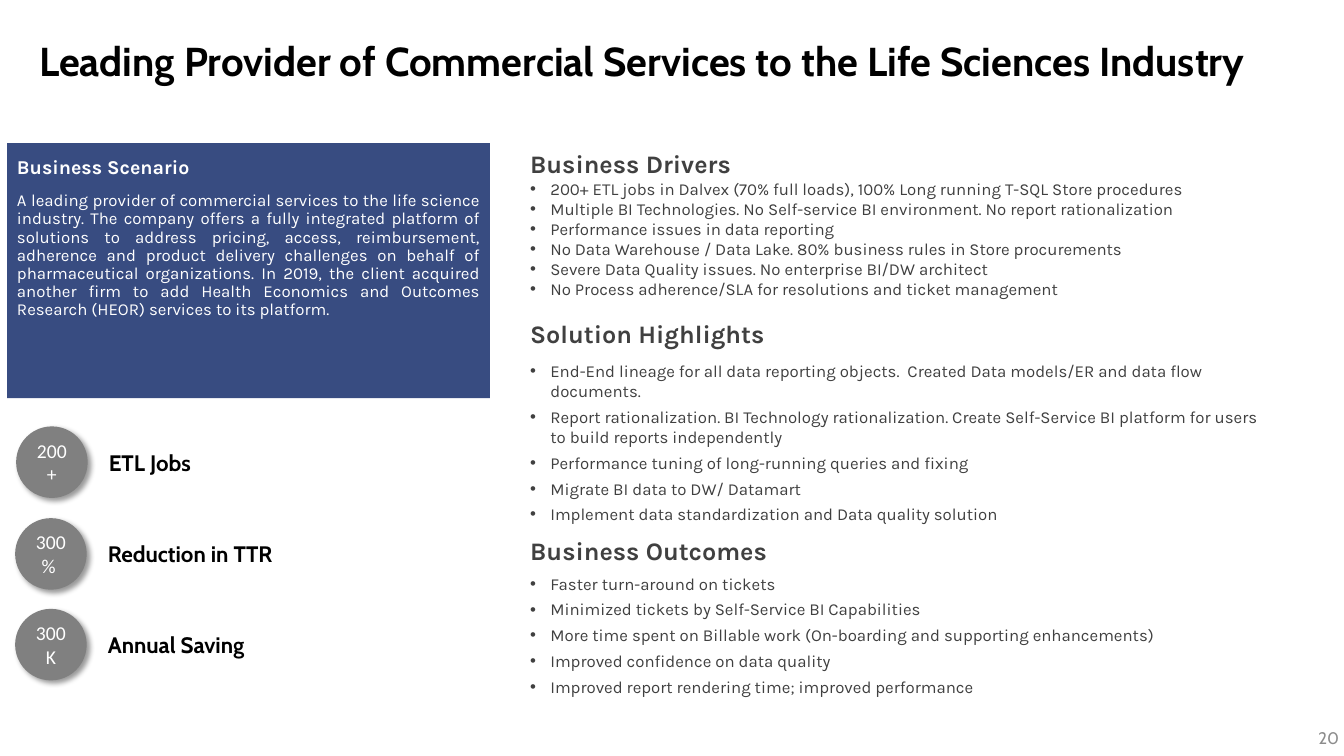
"""Build the life sciences case study slide."""
from lxml import etree
from pptx import Presentation
from pptx.dml.color import RGBColor
from pptx.enum import shapes, text
from pptx.oxml import ns
from pptx.util import Inches, Pt

BLACK = RGBColor(0x00, 0x00, 0x00)
WHITE = RGBColor(0xFF, 0xFF, 0xFF)
NAVY = RGBColor(0x38, 0x4C, 0x81)
DARK = RGBColor(0x40, 0x40, 0x40)
GRAY = RGBColor(0x80, 0x80, 0x80)
PALE = RGBColor(0x8C, 0x8C, 0x8C)

STORY = (
    "A leading provider of commercial services to the life science industry. "
    "The company offers a fully integrated platform of solutions to address "
    "pricing, access, reimbursement, adherence and product delivery challenges "
    "on behalf of pharmaceutical organizations. In 2019, the client acquired "
    "another firm to add Health Economics and Outcomes Research (HEOR) services "
    "to its platform."
)
DRIVERS = [
    "200+ ETL jobs in Dalvex (70% full loads), 100% Long running T-SQL Store procedures",
    "Multiple BI Technologies. No Self-service BI environment. No report rationalization",
    "Performance issues in data reporting",
    "No Data Warehouse / Data Lake. 80% business rules in Store procurements",
    "Severe Data Quality issues. No enterprise BI/DW architect",
    "No Process adherence/SLA for resolutions and ticket management",
]
HIGHLIGHTS = [
    "End-End lineage for all data reporting objects.  Created Data models/ER and data flow documents.",
    "Report rationalization. BI Technology rationalization. Create Self-Service BI platform "
    "for users to build reports independently",
    "Performance tuning of long-running queries and fixing",
    "Migrate BI data to DW/ Datamart",
    "Implement data standardization and Data quality solution",
]
OUTCOMES = [
    "Faster turn-around on tickets",
    "Minimized tickets by Self-Service BI Capabilities",
    "More time spent on Billable work (On-boarding and supporting enhancements)",
    "Improved confidence on data quality",
    "Improved report rendering time; improved performance",
]
STATS = [
    (0.16, 4.23, "200+", "ETL Jobs"),
    (0.15, 5.14, "300% ", "Reduction in TTR"),
    (0.15, 6.04, "300K", "Annual Saving"),
]


def add_box(slide, left, top, width, height, middle=False):
    """Add a wrapping text box and return its frame."""
    box = slide.shapes.add_textbox(Inches(left), Inches(top), Inches(width), Inches(height))
    frame = box.text_frame
    frame.word_wrap = True
    if middle:
        frame.vertical_anchor = text.MSO_ANCHOR.MIDDLE
    return frame


def add_line(frame, words, size, font, color, bold=False, align=None):
    """Add one paragraph holding one run, filling the empty first one."""
    para = frame.paragraphs[0]
    if para.runs:
        para = frame.add_paragraph()
    para.alignment = align
    run = para.add_run()
    run.text = words
    run.font.size = Pt(size)
    run.font.name = font
    run.font.bold = bold
    run.font.color.rgb = color
    return para


def add_head(frame, words):
    """Add a section heading."""
    add_line(frame, words, 18, "Karla", DARK, True)


def add_list(frame, items, after=0):
    """Add bulleted paragraphs."""
    for item in items:
        para = add_line(frame, item, 12, "Karla", DARK)
        props = para._p.get_or_add_pPr()
        props.set("marL", str(Inches(0.2)))
        props.set("indent", str(-Inches(0.2)))
        etree.SubElement(props, ns.qn("a:buFont"), typeface="Arial")
        etree.SubElement(props, ns.qn("a:buChar"), char="•")
        para.space_after = Pt(after)


def add_shade(shape):
    """Give a shape a soft shadow to the lower right."""
    shape.shadow.inherit = False
    effects = shape._element.spPr.find(ns.qn("a:effectLst"))
    shade = etree.SubElement(
        effects, ns.qn("a:outerShdw"), blurRad=str(Pt(4)), dist=str(Pt(3)),
        dir="2700000", algn="tl", rotWithShape="0")
    color = etree.SubElement(shade, ns.qn("a:srgbClr"), val=str(BLACK))
    etree.SubElement(color, ns.qn("a:alpha"), val="40000")


def add_panel(slide):
    """Add the business scenario panel."""
    panel = slide.shapes.add_shape(
        shapes.MSO_SHAPE.RECTANGLE, Inches(0.07), Inches(1.42), Inches(4.79), Inches(2.53))
    panel.shadow.inherit = False
    panel.fill.solid()
    panel.fill.fore_color.rgb = NAVY
    panel.line.fill.background()
    frame = add_box(slide, 0.07, 1.51, 4.79, 2.24)
    side = text.PP_ALIGN.JUSTIFY
    head = add_line(frame, "Business Scenario", 14, "Karla", WHITE, True, side)
    head.line_spacing = 0.9
    body = add_line(frame, STORY, 12, "Karla", WHITE, align=side)
    body.line_spacing = 0.9
    body.space_before = Pt(10)


def add_stat(slide, left, top, value, label):
    """Add a round badge with its label."""
    badge = slide.shapes.add_shape(
        shapes.MSO_SHAPE.ROUNDED_RECTANGLE,
        Inches(left), Inches(top), Inches(0.71), Inches(0.71))
    badge.adjustments[0] = 0.5
    badge.fill.solid()
    badge.fill.fore_color.rgb = GRAY
    badge.line.fill.background()
    add_shade(badge)
    frame = badge.text_frame
    frame.word_wrap = True
    frame.vertical_anchor = text.MSO_ANCHOR.MIDDLE
    add_line(frame, value, 14, "Calibri", WHITE, align=text.PP_ALIGN.CENTER)
    frame = add_box(slide, left + 0.92, top + 0.17, 4.04, 0.37, True)
    frame.margin_left = frame.margin_right = 0
    add_line(frame, label, 16, "Cabin", BLACK, True)


def main():
    """Build and save the slide."""
    deck = Presentation()
    deck.slide_width = Inches(13.33)
    deck.slide_height = Inches(7.5)
    slide = deck.slides.add_slide(deck.slide_layouts[6])

    title = add_line(
        add_box(slide, 0.29, 0.25, 12.89, 0.76, True),
        "Leading Provider of Commercial Services to the Life Sciences Industry",
        28.8, "Cabin", BLACK, True)
    title.line_spacing = 0.9
    add_panel(slide)
    for stat in STATS:
        add_stat(slide, *stat)

    frame = add_box(slide, 5.16, 1.42, 7.46, 1.64)
    add_head(frame, "Business Drivers")
    add_list(frame, DRIVERS)
    add_head(add_box(slide, 5.16, 3.11, 6.68, 0.4), "Solution Highlights")
    add_list(add_box(slide, 5.16, 3.53, 7.59, 1.74), HIGHLIGHTS, 4)
    add_head(add_box(slide, 5.16, 5.26, 6.68, 0.4), "Business Outcomes")
    add_list(add_box(slide, 5.16, 5.64, 8.02, 1.34), OUTCOMES, 4)

    add_line(add_box(slide, 12.83, 7.18, 0.55, 0.28, True),
             "20", 12, "Cabin", PALE, align=text.PP_ALIGN.RIGHT)
    deck.save("out.pptx")


if __name__ == "__main__":
    main()
